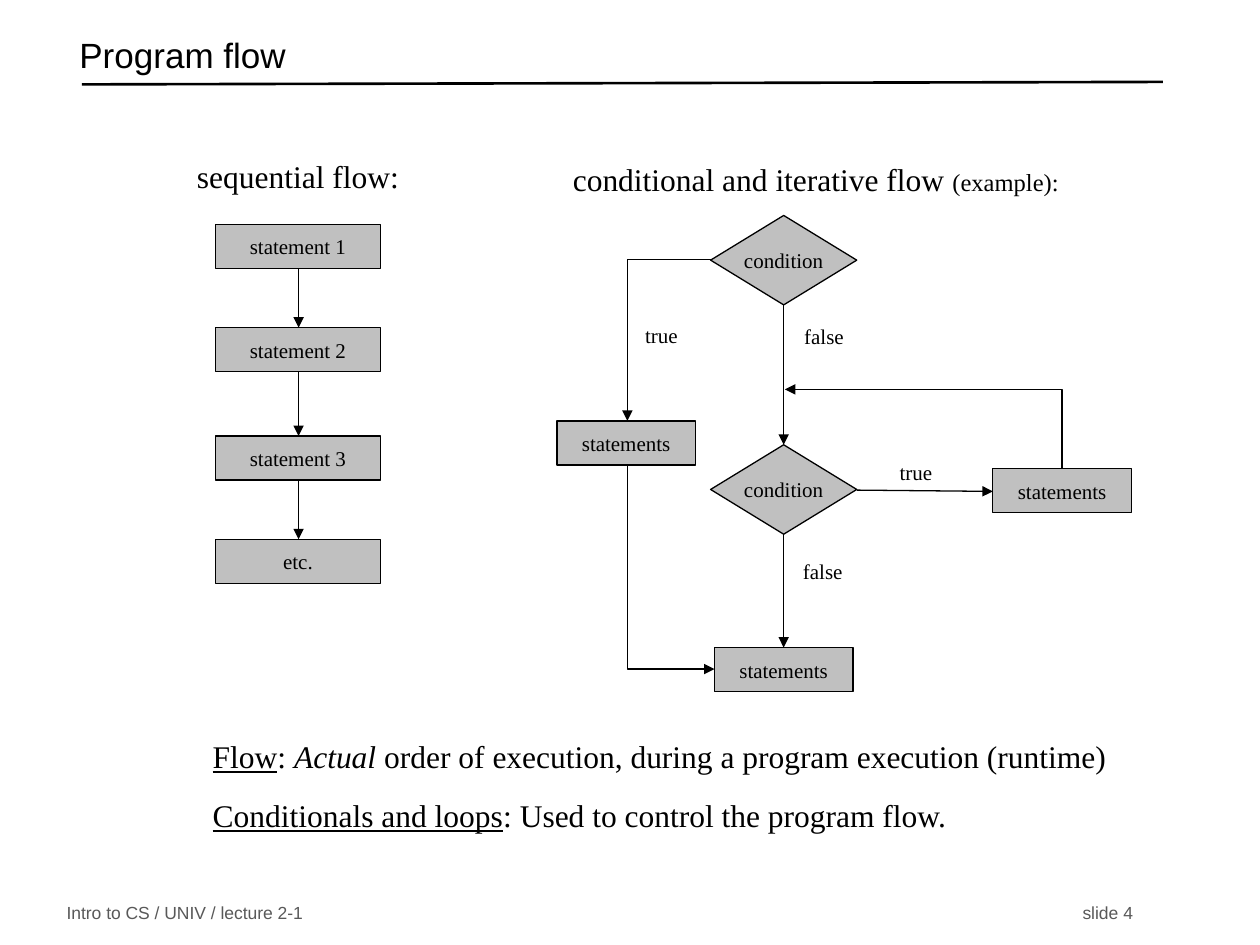
import pptx
import pptx.dml.color
import pptx.enum.shapes
import pptx.enum.text
import pptx.oxml
import pptx.oxml.ns
import pptx.util

Inches = pptx.util.Inches
Pt = pptx.util.Pt
KIND = pptx.enum.shapes.MSO_SHAPE
ALIGN = pptx.enum.text.PP_ALIGN
ANCHOR = pptx.enum.text.MSO_ANCHOR
BLACK = pptx.dml.color.RGBColor(0x00, 0x00, 0x00)
GRAY = pptx.dml.color.RGBColor(0xC0, 0xC0, 0xC0)
FOOTER_GRAY = pptx.dml.color.RGBColor(0x59, 0x59, 0x59)
SERIF, SANS = "Times New Roman", "Arial"


def write_text(frame, *paragraphs, size=12, font=SERIF, color=BLACK, align=ALIGN.LEFT,
               anchor=ANCHOR.MIDDLE, wrap=False, inset=(0.1, 0.05), before=0, indent=0,
               line_spacing=None):
    """Each paragraph is a list of (text, {font property: value}) runs."""
    frame.word_wrap = wrap
    frame.vertical_anchor = anchor
    frame.margin_left = frame.margin_right = Inches(inset[0])
    frame.margin_top = frame.margin_bottom = Inches(inset[1])
    for number, runs in enumerate(paragraphs):
        paragraph = frame.add_paragraph() if number else frame.paragraphs[0]
        paragraph.alignment = align
        paragraph.space_before = Pt(before)
        paragraph.line_spacing = line_spacing
        if indent:
            properties = paragraph._p.get_or_add_pPr()
            properties.set("marL", str(Inches(indent)))
            properties.set("indent", "0")
        for text, changes in runs:
            run = paragraph.add_run()
            run.text = text
            run.font.name, run.font.size = font, Pt(size)
            run.font.color.rgb = color
            for name, value in changes.items():
                setattr(run.font, name, value)


def add_flow(start, end, bend=None, width=0.75, arrow=True):
    """Draw a line; bend names the direction of its first leg, if it turns."""
    (x1, y1), (x2, y2) = start, end
    turn = 0
    if bend == "vertical":
        # The box of this connector is laid on its side around the same centre
        turn = 90 if x2 < x1 else 270
        center_x, center_y = (x1 + x2) / 2, (y1 + y2) / 2
        half_w, half_h = abs(y2 - y1) / 2, abs(x2 - x1) / 2
        x1, y1 = center_x + half_w, center_y - half_h
        x2, y2 = center_x - half_w, center_y + half_h
    flow = slide.shapes.add_connector(pptx.enum.shapes.MSO_CONNECTOR.STRAIGHT,
                                      Inches(x1), Inches(y1), Inches(x2), Inches(y2))
    flow.line.color.rgb, flow.line.width = BLACK, Pt(width)
    properties = flow._element.spPr
    if bend:
        properties.find(pptx.oxml.ns.qn("a:prstGeom")).set("prst", "bentConnector2")
    if turn:
        properties.find(pptx.oxml.ns.qn("a:xfrm")).set("rot", str(turn * 60000))
    if arrow:
        flow.line._get_or_add_ln().append(pptx.oxml.parse_xml(
            '<a:tailEnd %s type="triangle"/>' % pptx.oxml.ns.nsdecls("a")))
    properties.append(pptx.oxml.parse_xml('<a:effectLst %s/>' % pptx.oxml.ns.nsdecls("a")))


deck = pptx.Presentation()
deck.slide_width, deck.slide_height = Inches(10), Inches(7.5)
slide = deck.slides.add_slide(deck.slide_layouts[5])

# Title and its rule
title = slide.shapes.title
title.left, title.top, title.width, title.height = map(Inches, (0.53, 0.22, 8.6, 0.5))
write_text(title.text_frame, [("Program flow", {})], size=20, font=SANS, wrap=True,
           line_spacing=0.7)
add_flow((0.65, 0.67), (9.23, 0.65), width=1.5, arrow=False)

# Footer
for words, left, width, align in (
        ("Intro to CS / UNIV / lecture 2-1", 0.43, 4, ALIGN.LEFT),
        ("slide 4", 8.09, 1, ALIGN.RIGHT)):
    footer = slide.shapes.add_textbox(Inches(left), Inches(7.14), Inches(width), Inches(0.21))
    write_text(footer.text_frame, [(words, {})], size=10, font=SANS, color=FOOTER_GRAY,
               align=align, wrap=True)

# Arrows between the sequential statements
STEP_H = 0.35
steps = list(zip(("statement 1", "statement 2", "statement 3", "etc."),
                 (1.78, 2.6, 3.46, 4.28)))
for (_, upper), (_, lower) in zip(steps, steps[1:]):
    add_flow((2.37, upper + STEP_H), (2.37, lower))

# Arrows of the conditional and iterative flow
for start, end, bend in (
        ((6.22, 2.42), (6.22, 3.53), None),
        ((6.8, 3.89), (7.88, 3.9), None),
        ((6.22, 4.24), (6.22, 5.14), None),
        ((5.64, 2.06), (4.98, 3.34), "horizontal"),
        ((4.98, 3.69), (5.67, 5.31), "vertical"),
        ((8.43, 3.72), (6.23, 3.09), "vertical")):
    add_flow(start, end, bend)

# Statement boxes and condition diamonds
nodes = [(KIND.FLOWCHART_PROCESS, words, 1.71, top, 1.31, STEP_H) for words, top in steps]
nodes += [(KIND.FLOWCHART_PROCESS, "statements", left, top, 1.1, STEP_H)
          for left, top in ((4.42, 3.34), (7.88, 3.72), (5.67, 5.14))]
nodes += [(KIND.FLOWCHART_DECISION, "condition", 5.64, top, 1.16, 0.71)
          for top in (1.71, 3.53)]
for kind, words, *place in nodes:
    node = slide.shapes.add_shape(kind, *map(Inches, place))
    node.shadow.inherit = False
    node.fill.solid()
    node.fill.fore_color.rgb = GRAY
    node.line.color.rgb, node.line.width = BLACK, Pt(0.75)
    write_text(node.text_frame, [(words, {})], align=ALIGN.CENTER)

# Branch labels
for words, left, top, width in (
        ("true", 5.02, 2.51, 0.46), ("false", 6.28, 2.52, 0.52),
        ("true", 7.04, 3.6, 0.46), ("false", 6.27, 4.38, 0.52)):
    branch = slide.shapes.add_textbox(Inches(left), Inches(top), Inches(width), Inches(0.3))
    write_text(branch.text_frame, [(words, {})], align=ALIGN.CENTER)

# Headings of the two diagrams
for runs, left, top, width in (
        ([("sequential flow:", {})], 1.12, 1.19, 2.49),
        ([("conditional and iterative flow ", {}), ("(example):", {"size": Pt(14)})],
         4.34, 1.21, 4.27)):
    heading = slide.shapes.add_textbox(Inches(left), Inches(top), Inches(width), Inches(0.42))
    write_text(heading.text_frame, runs, size=18, align=ALIGN.CENTER, anchor=ANCHOR.TOP,
               wrap=True, inset=(0.11, 0.06))

# Definitions
definitions = slide.shapes.add_textbox(Inches(1.47), Inches(5.8), Inches(8.5), Inches(0.94))
write_text(definitions.text_frame,
           [("Flow", {"underline": True}), (": ", {}), ("Actual", {"italic": True}),
            (" order of execution, during a program execution (runtime)", {})],
           [("Conditionals and loops", {"underline": True}),
            (": Used to control the program flow.", {})],
           size=18, anchor=ANCHOR.TOP, wrap=True, before=12, indent=0.12)

deck.save("out.pptx")
